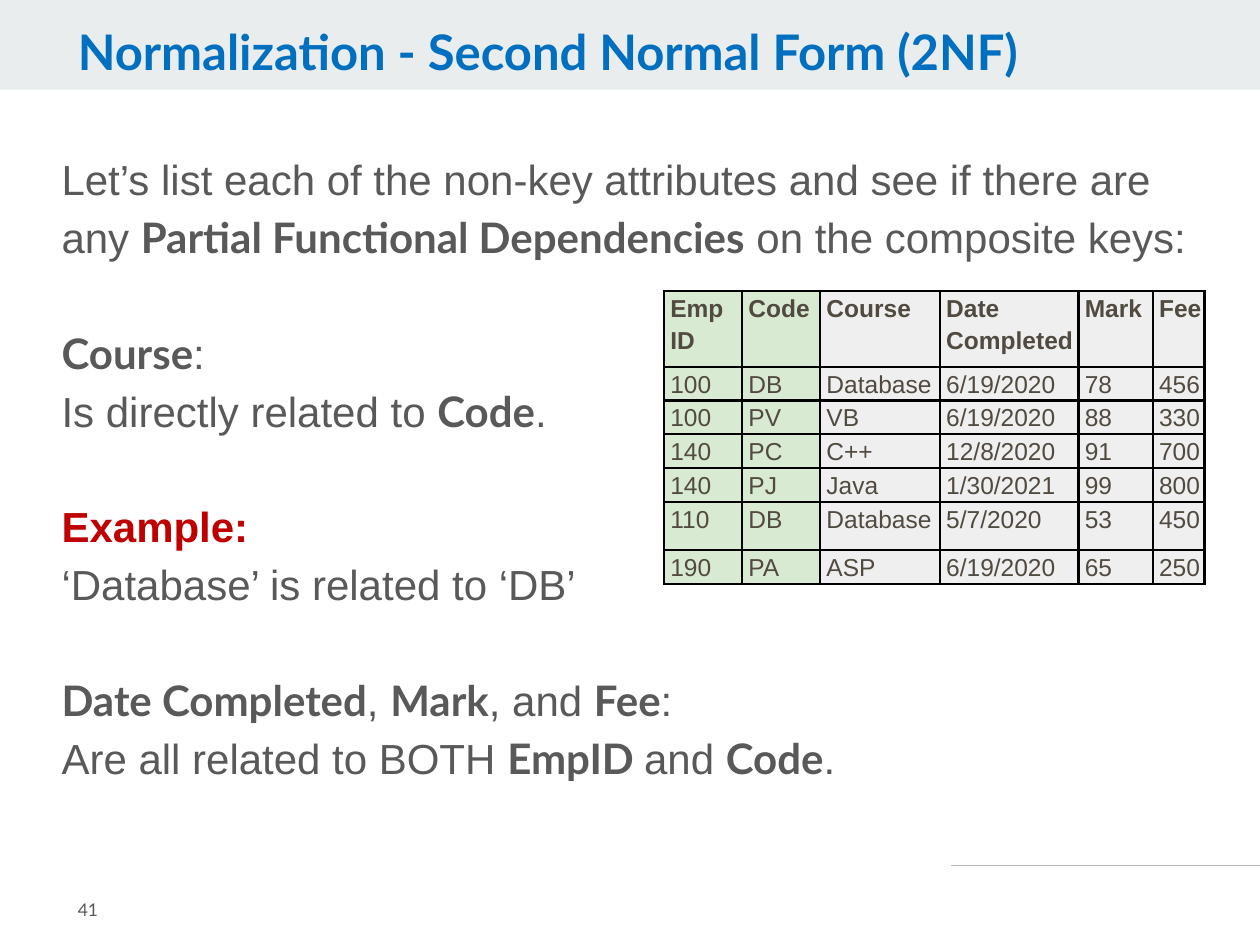
import pptx
import pptx.dml.color
import pptx.enum.shapes
import pptx.enum.text
import pptx.oxml
import pptx.oxml.ns
import pptx.util

RGBColor = pptx.dml.color.RGBColor
BAND_GRAY = RGBColor(0xE9, 0xED, 0xEE)
RULE_GRAY = RGBColor(0xB7, 0xB7, 0xB7)
TITLE_BLUE = RGBColor(0x00, 0x6F, 0xBF)
BODY_GRAY = RGBColor(0x59, 0x59, 0x59)
EXAMPLE_RED = RGBColor(0xC0, 0x00, 0x00)
CELL_BROWN = RGBColor(0x51, 0x4A, 0x40)
KEY_GREEN = RGBColor(0xD9, 0xEA, 0xD3)
CELL_GRAY = RGBColor(0xEF, 0xEF, 0xEF)

SLIDE_WIDTH = pptx.util.Inches(10)
SLIDE_HEIGHT = pptx.util.Inches(7.5)
MARGINS = ("margin_left", "margin_top", "margin_right", "margin_bottom")
KEY_COLUMNS = 2
COLUMN_WIDTHS = (0.62, 0.62, 0.95, 1.1, 0.59, 0.41)
ROW_HEIGHTS = (0.6, 0.21, 0.21, 0.21, 0.21, 0.38, 0.21)
COURSE_ROWS = (
    ("Emp ID", "Code", "Course", "Date Completed", "Mark", "Fee"),
    ("100", "DB", "Database", "6/19/2020", "78", "456"),
    ("100", "PV", "VB", "6/19/2020", "88", "330"),
    ("140", "PC", "C++", "12/8/2020", "91", "700"),
    ("140", "PJ", "Java", "1/30/2021", "99", "800"),
    ("110", "DB", "Database", "5/7/2020", "53", "450"),
    ("190", "PA", "ASP", "6/19/2020", "65", "250"),
)

BODY = {"name": "Arial", "size": pptx.util.Pt(24), "bold": False, "color": BODY_GRAY}
TERM = {**BODY, "name": "Lato", "bold": True}
EXAMPLE = {**BODY, "bold": True, "color": EXAMPLE_RED}
TITLE = {**TERM, "size": pptx.util.Pt(28), "color": TITLE_BLUE}
NUMBER = {**BODY, "name": "Lato", "size": pptx.util.Pt(10)}
CELL = {**BODY, "size": pptx.util.Pt(14), "color": CELL_BROWN}
HEADER = {**CELL, "bold": True}

TIGHT = {"line_spacing": 0.9}
LOOSE = {"line_spacing": 1.15}
NEW_TOPIC = {**LOOSE, "space_before": pptx.util.Pt(33)}

BODY_PARAGRAPHS = (
    (LOOSE, (
        ("Let’s list each of the non-key attributes and see if there are any ", BODY),
        ("Partial Functional Dependencies", TERM),
        (" on the composite keys:", BODY))),
    (NEW_TOPIC, (("Course", TERM), (":", BODY))),
    (LOOSE, (("Is directly related to ", BODY), ("Code", TERM), (".", BODY))),
    (NEW_TOPIC, (("Example:", EXAMPLE),)),
    (LOOSE, (("‘Database’ is related to ‘DB’", BODY),)),
    (NEW_TOPIC, (("Date Completed", TERM), (", ", BODY), ("Mark", TERM),
                 (", and ", BODY), ("Fee", TERM), (":", BODY))),
    (LOOSE, (("Are all related to BOTH ", BODY), ("EmpID ", TERM),
             ("and ", BODY), ("Code", TERM), (".", BODY))),
)


def across(share):
    return round(SLIDE_WIDTH * share)


def down(share):
    return round(SLIDE_HEIGHT * share)


def area(left, top, width, height):
    return across(left), down(top), across(width), down(height)


def set_format(target, values):
    for attribute, value in values.items():
        if attribute == "color":
            target.color.rgb = value
        else:
            setattr(target, attribute, value)


def set_margins(target, inches):
    set_format(target, dict(zip(MARGINS, map(pptx.util.Inches, inches))))


def fill_paragraph(paragraph, layout, runs):
    set_format(paragraph, layout)
    for text, font_values in runs:
        run = paragraph.add_run()
        run.text = text
        set_format(run.font, font_values)


def add_text(slide, box, margins, paragraphs, anchor=pptx.enum.text.MSO_ANCHOR.TOP):
    frame = slide.shapes.add_textbox(*box).text_frame
    set_format(frame, {"word_wrap": True, "vertical_anchor": anchor})
    set_margins(frame, margins)
    for index, (layout, runs) in enumerate(paragraphs):
        paragraph = frame.add_paragraph() if index else frame.paragraphs[0]
        fill_paragraph(paragraph, layout, runs)


def add_band(slide, box):
    band = slide.shapes.add_shape(pptx.enum.shapes.MSO_SHAPE.RECTANGLE, *box)
    band.shadow.inherit = False
    band.fill.solid()
    band.fill.fore_color.rgb = BAND_GRAY
    band.line.fill.background()


def add_rule(slide, start, end, height):
    rule = slide.shapes.add_connector(
        pptx.enum.shapes.MSO_CONNECTOR.STRAIGHT,
        across(start), down(height), across(end), down(height))
    set_format(rule.line, {"color": RULE_GRAY, "width": pptx.util.Pt(0.75)})
    properties = rule._element.spPr
    properties.append(pptx.oxml.parse_xml(
        f"<a:effectLst {pptx.oxml.ns.nsdecls('a')}/>"))


def add_borders(cell):
    properties = cell._tc.get_or_add_tcPr()
    for index, side in enumerate(("lnL", "lnR", "lnT", "lnB")):
        properties.insert(index, pptx.oxml.parse_xml(
            f"<a:{side} {pptx.oxml.ns.nsdecls('a')} w='{pptx.util.Pt(1.5)}'>"
            f"<a:solidFill><a:srgbClr val='000000'/></a:solidFill></a:{side}>"))


def add_course_table(slide, box):
    table = slide.shapes.add_table(len(ROW_HEIGHTS), len(COLUMN_WIDTHS), *box).table
    for column, width in zip(table.columns, COLUMN_WIDTHS):
        column.width = pptx.util.Inches(width)
    for row, height in zip(table.rows, ROW_HEIGHTS):
        row.height = pptx.util.Inches(height)
    for row_index, texts in enumerate(COURSE_ROWS):
        for column_index, text in enumerate(texts):
            cell = table.cell(row_index, column_index)
            set_margins(cell, (0.05, 0, 0, 0))
            cell.fill.solid()
            cell.fill.fore_color.rgb = KEY_GREEN if column_index < KEY_COLUMNS else CELL_GRAY
            add_borders(cell)
            font_values = CELL if row_index else HEADER
            fill_paragraph(cell.text_frame.paragraphs[0], LOOSE, ((text, font_values),))


def main():
    presentation = pptx.Presentation()
    set_format(presentation, {"slide_width": SLIDE_WIDTH, "slide_height": SLIDE_HEIGHT})
    slide = presentation.slides.add_slide(presentation.slide_layouts[6])
    standard = (0.1, 0.05, 0.1, 0.05)
    add_rule(slide, 0.755, 1, 0.916)
    add_band(slide, area(0, 0, 1, 0.095))
    add_text(slide, area(0.052, 0.023, 0.788, 0.073), standard,
             ((TIGHT, (("Normalization - Second Normal Form (2NF)", TITLE),)),))
    add_text(slide, area(0.039, 0.148, 0.925, 0.723), standard, BODY_PARAGRAPHS)
    add_text(slide, area(0.052, 0.924, 0.123, 0.076), (0.1, 0.1, 0.1, 0.1),
             (({}, (("41", NUMBER),)),), pptx.enum.text.MSO_ANCHOR.MIDDLE)
    add_course_table(slide, area(0.527, 0.308, 0.429, 0.311))
    presentation.save("out.pptx")


if __name__ == "__main__":
    main()
